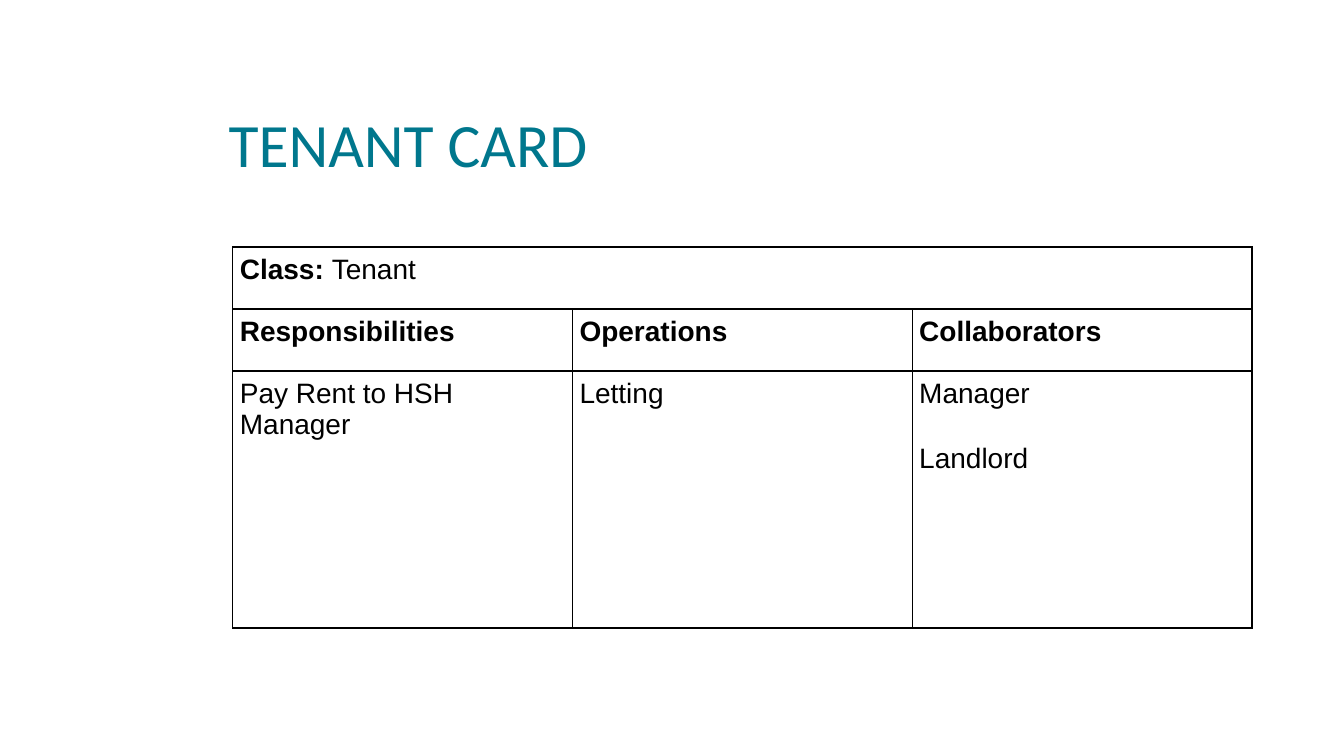
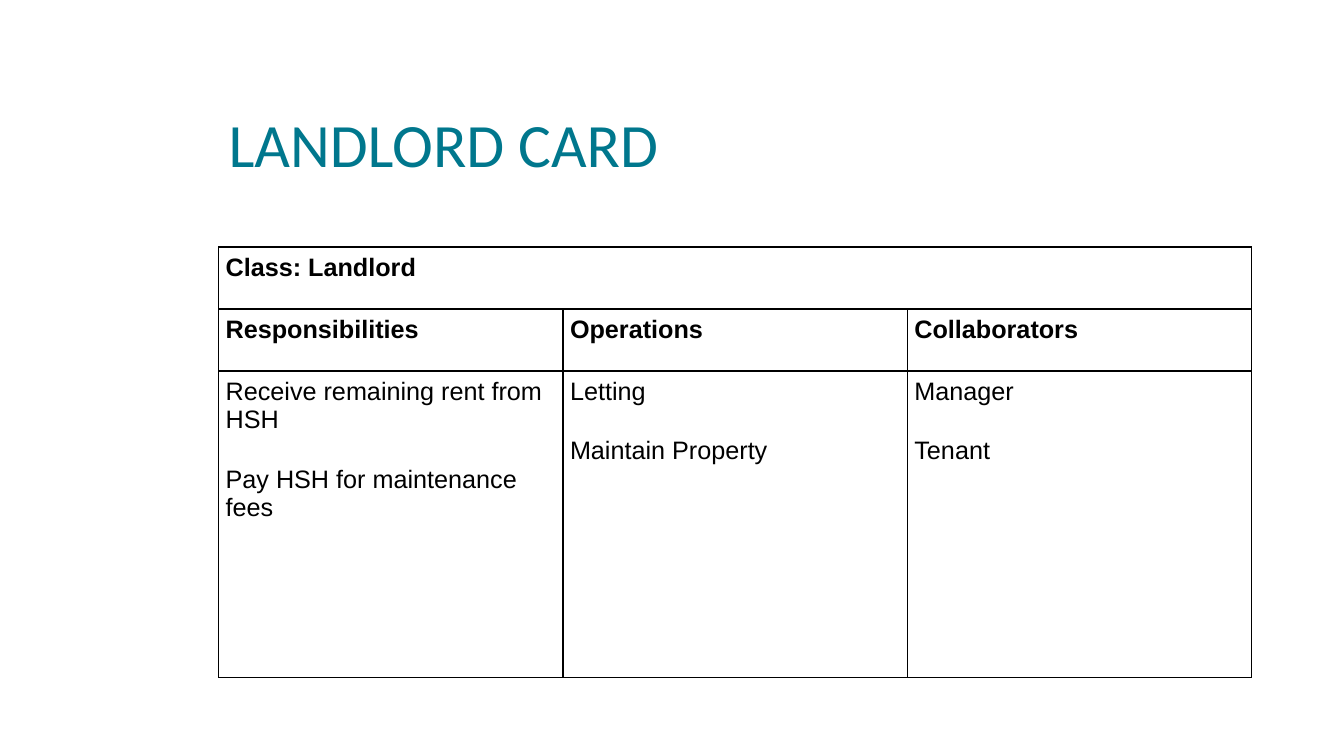
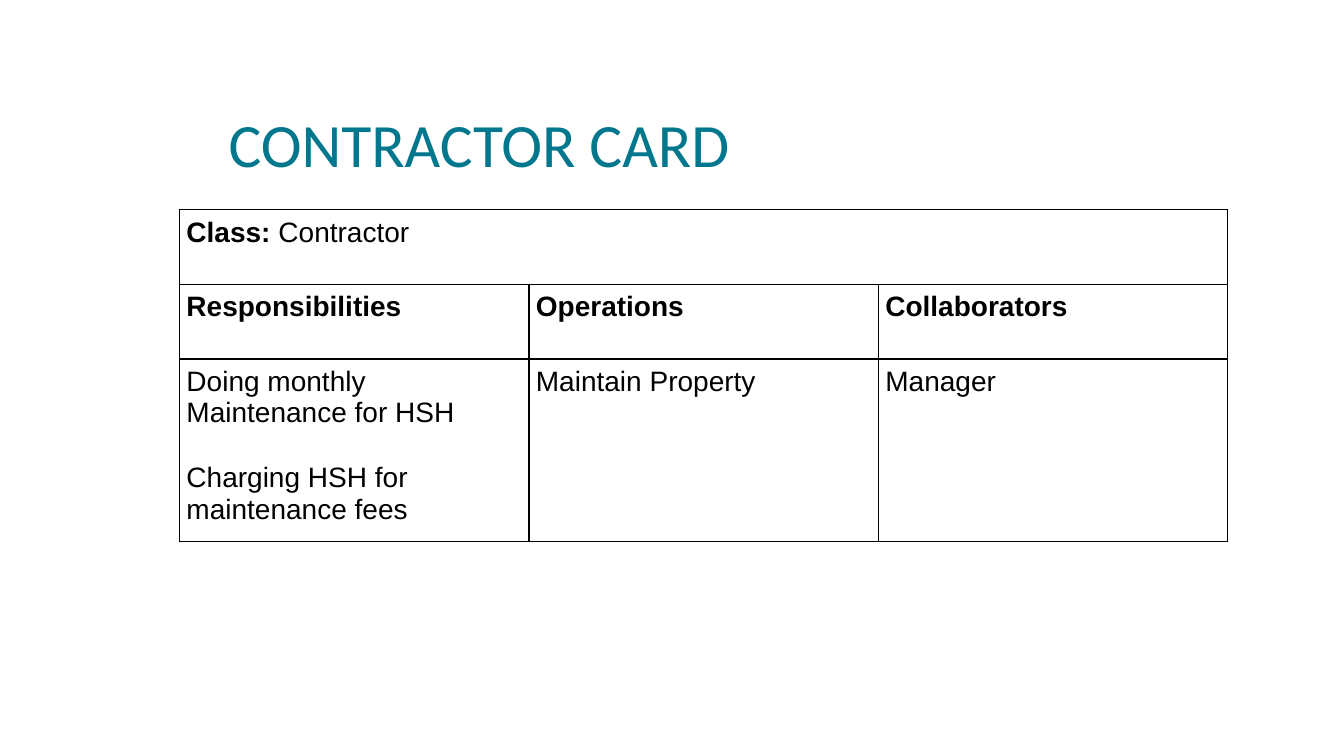
from dataclasses import dataclass

import lxml.etree
import pptx
import pptx.dml.color
import pptx.enum.text
import pptx.oxml.ns
import pptx.util

Pt = pptx.util.Pt


@dataclass(frozen=True)
class Theme:
    title_color: str = "00778D"
    text_color: str = "000000"
    border_color: str = "000000"
    title_font: str = "Calibri"
    body_font: str = "Arial"
    title_size: float = 44
    title_line_spacing: float = 0.85
    paragraph_gap: float = 1.22
    cell_inset: float = 5
    border_width: float = 1


TITLE_BOX = (156.2, 30.2, 738, 102.2)
HEADINGS = ("Responsibilities", "Operations", "Collaborators")
CARDS = [
    {
        "title": "TENANT CARD",
        "class_runs": [("Class: ", True), ("Tenant", False)],
        "entries": [["Pay Rent to HSH Manager"], ["Letting"], ["Manager", "Landlord"]],
        "size": 20,
        "position": (166.3, 176.4),
        "width": 728,
        "row_heights": (44.3, 44.3, 183.6),
    },
    {
        "title": "LANDLORD CARD",
        "class_runs": [("Class: Landlord", True)],
        "entries": [
            ["Receive remaining rent from HSH", "Pay HSH for maintenance fees"],
            ["Letting", "Maintain Property"],
            ["Manager", "Tenant"],
        ],
        "size": 18,
        "position": (156.2, 176.4),
        "width": 738,
        "row_heights": (44.3, 44.3, 218.8),
    },
    {
        "title": "CONTRACTOR CARD",
        "class_runs": [("Class: ", True), ("Contractor", False)],
        "entries": [
            ["Doing monthly Maintenance for HSH", "Charging HSH for maintenance fees"],
            ["Maintain Property"],
            ["Manager"],
        ],
        "size": 20,
        "position": (128.2, 149.8),
        "width": 748.8,
        "row_heights": (53.3, 53.3, 123.5),
    },
]


def apply_format(target, values):
    for name, value in values.items():
        setattr(target, name, value)


class Deck:
    def __init__(self, theme):
        self.theme = theme
        self.presentation = pptx.Presentation()
        apply_format(self.presentation, {"slide_width": Pt(960), "slide_height": Pt(540)})
        self.slide = None

    def add_slide(self):
        self.slide = self.presentation.slides.add_slide(self.presentation.slide_layouts[6])

    def add_run(self, paragraph, text, font, size, color, bold=False):
        run = paragraph.add_run()
        run.text = text
        apply_format(run.font, {"name": font, "size": Pt(size), "bold": bold})
        run.font.color.rgb = pptx.dml.color.RGBColor.from_string(color)

    def add_title(self, text):
        theme = self.theme
        shape = self.slide.shapes.add_textbox(*map(Pt, TITLE_BOX))
        apply_format(shape.text_frame, {
            "word_wrap": True,
            "vertical_anchor": pptx.enum.text.MSO_ANCHOR.BOTTOM,
        })
        paragraph = shape.text_frame.paragraphs[0]
        paragraph.line_spacing = theme.title_line_spacing
        self.add_run(paragraph, text, theme.title_font, theme.title_size, theme.title_color)

    def style_cell(self, cell):
        inset = Pt(self.theme.cell_inset)
        apply_format(cell, {f"margin_{side}": inset for side in ("left", "right", "top", "bottom")})
        cell.fill.background()
        properties = cell._tc.get_or_add_tcPr()
        qualified = pptx.oxml.ns.qn
        for index, edge in enumerate("LRTB"):
            line = lxml.etree.Element(qualified(f"a:ln{edge}"), w=str(Pt(self.theme.border_width)))
            fill = lxml.etree.SubElement(line, qualified("a:solidFill"))
            lxml.etree.SubElement(fill, qualified("a:srgbClr"), val=self.theme.border_color)
            properties.insert(index, line)

    def fill_cell(self, cell, paragraphs, size):
        theme = self.theme
        for index, runs in enumerate(paragraphs):
            if index == 0:
                paragraph = cell.text_frame.paragraphs[0]
            else:
                paragraph = cell.text_frame.add_paragraph()
                paragraph.space_before = Pt(round(size * theme.paragraph_gap, 1))
            for text, bold in runs:
                self.add_run(paragraph, text, theme.body_font, size, theme.text_color, bold)

    def add_card_table(self, class_runs, entries, size, position, width, row_heights):
        columns = len(HEADINGS)
        frame = self.slide.shapes.add_table(
            len(row_heights), columns, *map(Pt, position), Pt(width), Pt(sum(row_heights)))
        table = frame.table
        apply_format(table, {"first_row": False, "horz_banding": False})
        for column in table.columns:
            column.width = Pt(width / columns)
        for row, height in zip(table.rows, row_heights):
            row.height = Pt(height)
        for cell in table.iter_cells():
            self.style_cell(cell)
        table.cell(0, 0).merge(table.cell(0, columns - 1))
        self.fill_cell(table.cell(0, 0), [class_runs], size)
        for index, (heading, lines) in enumerate(zip(HEADINGS, entries)):
            self.fill_cell(table.cell(1, index), [[(heading, True)]], size)
            self.fill_cell(table.cell(2, index), [[(line, False)] for line in lines], size)


def main():
    deck = Deck(Theme())
    for card in CARDS:
        deck.add_slide()
        deck.add_title(card["title"])
        deck.add_card_table(**{name: value for name, value in card.items() if name != "title"})
    deck.presentation.save("out.pptx")


if __name__ == "__main__":
    main()
